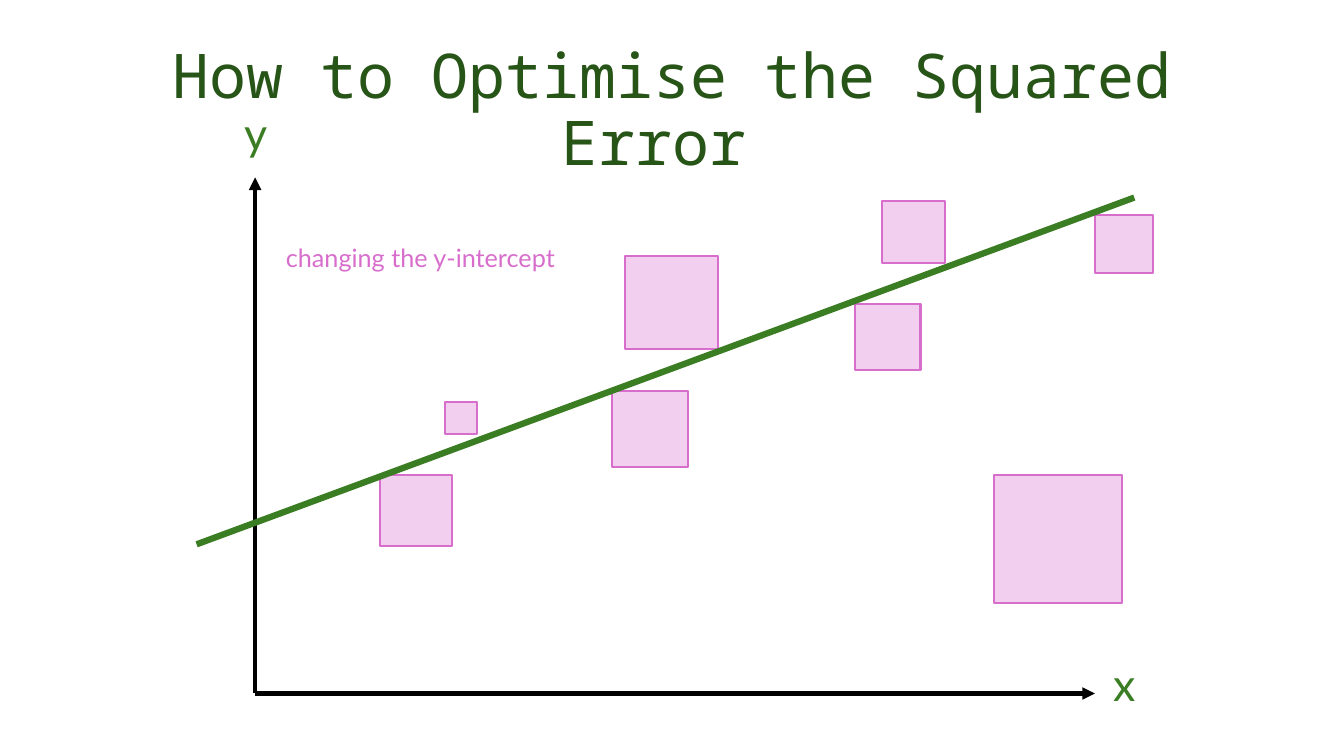
from dataclasses import dataclass

from lxml.etree import SubElement
from pptx import Presentation
from pptx.dml.color import RGBColor
from pptx.enum.shapes import MSO_CONNECTOR as Connector, MSO_SHAPE as Preset
from pptx.enum.text import MSO_ANCHOR as Anchor, MSO_AUTO_SIZE as AutoSize, PP_ALIGN as Align
from pptx.oxml.ns import qn
from pptx.slide import Slide
from pptx.text.text import TextFrame
from pptx.util import Emu, Pt

PX = 9144  # 100 px to the inch
DARK_GREEN, GREEN = "275417", "3B7D23"
PINK, PALE_PINK, BLACK = "D86ECC", "F2CFEE", "000000"


@dataclass(frozen=True)
class ErrorSquare:
    left: int
    top: int
    side: int


@dataclass(frozen=True)
class Stroke:
    start: tuple[int, int]
    end: tuple[int, int]
    color: str
    width: float
    arrow: bool = False


@dataclass(frozen=True)
class Label:
    text: str
    box: tuple[int, int, int, int]
    size: int
    color: str
    anchor: Anchor = Anchor.TOP


SQUARES = [
    ErrorSquare(620, 254, 92), ErrorSquare(875, 199, 62), ErrorSquare(1086, 213, 58),
    ErrorSquare(848, 302, 65), ErrorSquare(607, 388, 75), ErrorSquare(377, 471, 71),
    ErrorSquare(441, 399, 32), ErrorSquare(986, 471, 127),
]
ORIGIN = (253, 688)
STROKES = [
    Stroke(ORIGIN, (253, 176), BLACK, 3, arrow=True),
    Stroke(ORIGIN, (1086, 688), BLACK, 3, arrow=True),
    Stroke((195, 540), (1125, 196), GREEN, 4.5),
]
LABELS = [
    Label("x", (1086, 646, 58, 64), 32, GREEN, Anchor.MIDDLE),
    Label("y", (208, 100, 91, 64), 32, GREEN, Anchor.MIDDLE),
    Label("changing the y-intercept", (265, 235, 304, 40), 18, PINK),
]


def px(*lengths: int) -> list[Emu]:
    return [Emu(length * PX) for length in lengths]


def rgb(color: str) -> RGBColor:
    return RGBColor.from_string(color)


def write(frame: TextFrame, text: str, font: str, size: int, color: str,
          anchor: Anchor, auto_size: AutoSize) -> None:
    frame.text = text
    frame_format = {"word_wrap": True, "auto_size": auto_size, "vertical_anchor": anchor}
    for name, value in frame_format.items():
        setattr(frame, name, value)
    paragraph = frame.paragraphs[0]
    paragraph.alignment = Align.CENTER
    run_font = paragraph.runs[0].font
    for name, value in {"name": font, "size": Pt(size)}.items():
        setattr(run_font, name, value)
    run_font.color.rgb = rgb(color)


def draw_square(slide: Slide, square: ErrorSquare) -> None:
    shape = slide.shapes.add_shape(
        Preset.RECTANGLE, *px(square.left, square.top, square.side, square.side))
    shape.shadow.inherit = False
    shape.fill.solid()
    shape.fill.fore_color.rgb = rgb(PALE_PINK)
    shape.line.color.rgb = rgb(PINK)
    shape.line.width = Pt(1.5)


def draw_stroke(slide: Slide, stroke: Stroke) -> None:
    connector = slide.shapes.add_connector(
        Connector.STRAIGHT, *px(*stroke.start, *stroke.end))
    connector.line.color.rgb = rgb(stroke.color)
    connector.line.width = Pt(stroke.width)
    if stroke.arrow:
        SubElement(connector.line._get_or_add_ln(), qn("a:tailEnd"), type="triangle")
    SubElement(connector._element.spPr, qn("a:effectLst"))


def draw_label(slide: Slide, label: Label) -> None:
    frame = slide.shapes.add_textbox(*px(*label.box)).text_frame
    write(frame, label.text, "Lato", label.size, label.color,
          label.anchor, AutoSize.SHAPE_TO_FIT_TEXT)


def set_title(slide: Slide) -> None:
    title = slide.shapes.title
    for name, value in zip(("left", "top", "width", "height"), px(92, 40, 1150, 145)):
        setattr(title, name, value)
    # The closing space keeps the second line slightly left of centre
    write(title.text_frame, "How to Optimise the Squared Error ", "Noto Sans Mono",
          44, DARK_GREEN, Anchor.TOP, AutoSize.NONE)
    title.text_frame.paragraphs[0].line_spacing = 0.9


def main() -> None:
    deck = Presentation()
    deck.slide_width, deck.slide_height = px(1333, 750)
    slide = deck.slides.add_slide(deck.slide_layouts[5])
    set_title(slide)

    # Squared errors, then axes and fitted line over them
    for square in SQUARES:
        draw_square(slide, square)
    for stroke in STROKES:
        draw_stroke(slide, stroke)

    # Axis names and caption
    for label in LABELS:
        draw_label(slide, label)
    deck.save("out.pptx")


if __name__ == "__main__":
    main()
